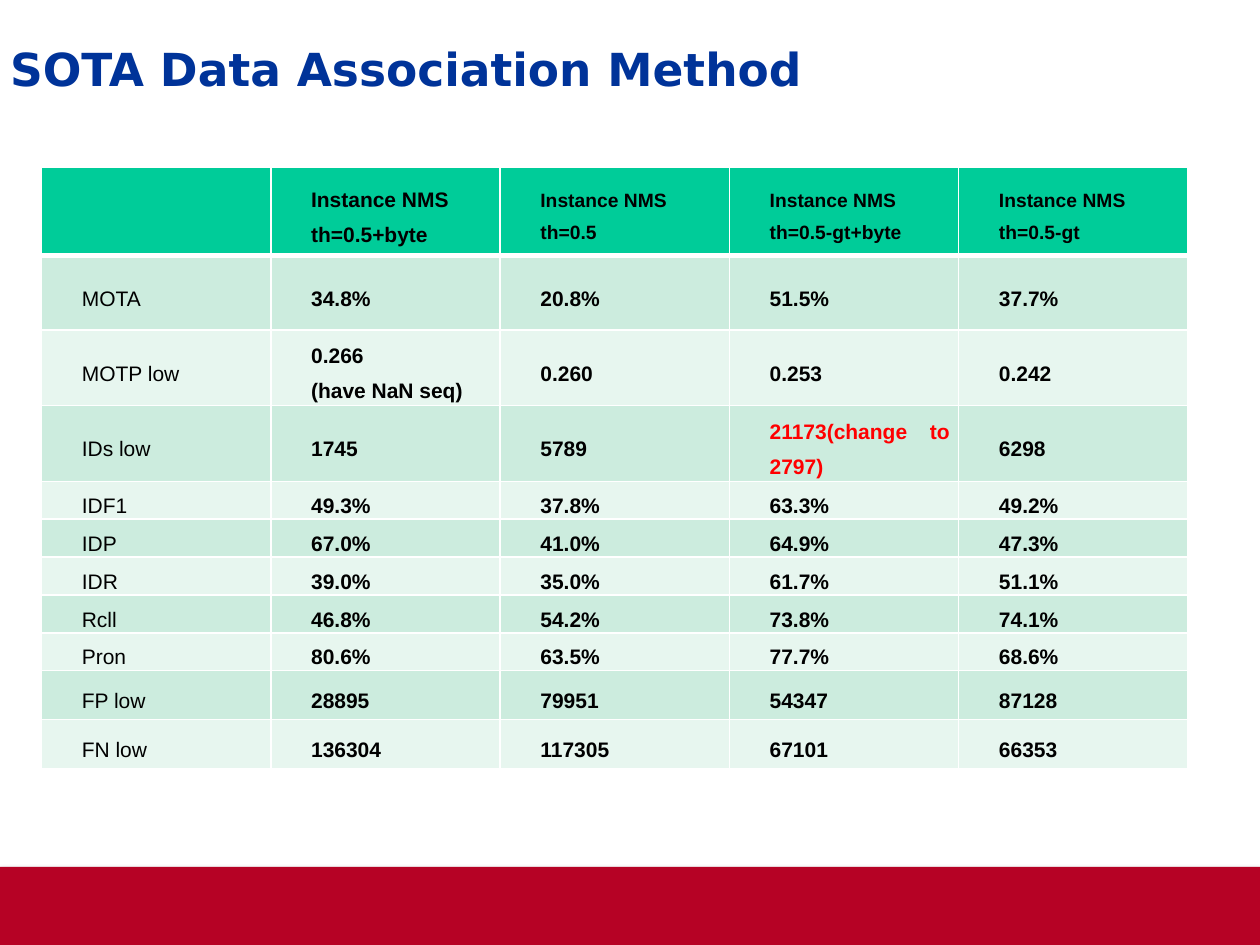
import lxml.etree
import pptx
import pptx.dml.color
import pptx.enum.shapes
import pptx.enum.text
import pptx.oxml.ns
import pptx.util

Inches = pptx.util.Inches
Pt = pptx.util.Pt
RGBColor = pptx.dml.color.RGBColor
PP_ALIGN = pptx.enum.text.PP_ALIGN
MIDDLE = pptx.enum.text.MSO_ANCHOR.MIDDLE
qn = pptx.oxml.ns.qn

WHITE = RGBColor(0xFF, 0xFF, 0xFF)
BLACK = RGBColor(0x00, 0x00, 0x00)
RED = RGBColor(0xFF, 0x00, 0x00)
NAVY = RGBColor(0x00, 0x33, 0x99)
CRIMSON = RGBColor(0xB6, 0x02, 0x25)
GREEN = RGBColor(0x00, 0xCC, 0x99)
MINT = RGBColor(0xCC, 0xEC, 0xDE)
PALE_MINT = RGBColor(0xE7, 0xF6, 0xEF)

METHODS = ["", "Instance NMS th=0.5+byte", "Instance NMS th=0.5",
           "Instance NMS th=0.5-gt+byte", "Instance NMS th=0.5-gt"]
METRICS = [
    ["MOTA", "34.8%", "20.8%", "51.5%", "37.7%"],
    ["MOTP low", "0.266\n(have NaN seq)", "0.260", "0.253", "0.242"],
    ["IDs low", "1745", "5789", "21173(change to 2797)", "6298"],
    ["IDF1", "49.3%", "37.8%", "63.3%", "49.2%"],
    ["IDP", "67.0%", "41.0%", "64.9%", "47.3%"],
    ["IDR", "39.0%", "35.0%", "61.7%", "51.1%"],
    ["Rcll", "46.8%", "54.2%", "73.8%", "74.1%"],
    ["Pron", "80.6%", "63.5%", "77.7%", "68.6%"],
    ["FP low", "28895", "79951", "54347", "87128"],
    ["FN low", "136304", "117305", "67101", "66353"],
]
ROW_HEIGHTS = [0.7, 0.59, 0.48, 0.39] + [0.27] * 5 + [0.39] * 2
COLUMN_WIDTH = 1.82
JUSTIFIED_COLUMNS = (1, 3, 4)
CORRECTED_CELL = (3, 3)


def add_run(paragraph, text, font_name, size, color, bold):
    run = paragraph.add_run()
    run.text = text
    run.font.name = font_name
    run.font.size = Pt(size)
    run.font.color.rgb = color
    run.font.bold = bold


def add_footer_band(slide):
    band = slide.shapes.add_shape(pptx.enum.shapes.MSO_SHAPE.RECTANGLE,
                                  Inches(0), Inches(6.88), Inches(10), Inches(0.62))
    band.shadow.inherit = False
    band.fill.solid()
    band.fill.fore_color.rgb = CRIMSON
    band.line.fill.background()
    effects = band._element.spPr.find(qn("a:effectLst"))
    shadow = lxml.etree.SubElement(effects, qn("a:outerShdw"), blurRad=str(Pt(3.1)),
                                   dist=str(Pt(1.8)), dir="5400000", rotWithShape="0")
    shade = lxml.etree.SubElement(shadow, qn("a:srgbClr"), val=str(BLACK))
    lxml.etree.SubElement(shade, qn("a:alpha"), val="35000")


def add_title(slide):
    title = slide.shapes.add_textbox(Inches(0.08), Inches(0.19), Inches(9.77), Inches(0.79))
    frame = title.text_frame
    frame.word_wrap = True
    frame.vertical_anchor = MIDDLE
    frame.margin_left = frame.margin_top = 0
    frame.margin_right, frame.margin_bottom = Inches(0.1), Inches(0.05)
    heading = frame.paragraphs[0]
    heading.line_spacing = 0.95
    add_run(heading, "SOTA Data Association Method", "DejaVu Sans", 26, NAVY, True)


def set_borders(cell, bottom_width):
    properties = cell._tc.get_or_add_tcPr()
    for side, width in (("L", 1), ("R", 1), ("T", 1), ("B", bottom_width)):
        border = lxml.etree.SubElement(properties, qn("a:ln" + side), w=str(Pt(width)))
        fill = lxml.etree.SubElement(border, qn("a:solidFill"))
        lxml.etree.SubElement(fill, qn("a:srgbClr"), val=str(WHITE))


def row_fill(row):
    if row == 0:
        return GREEN
    return MINT if row % 2 else PALE_MINT


def fill_cell(cell, row, column, text):
    set_borders(cell, 1 if row else 3)
    cell.fill.solid()
    cell.fill.fore_color.rgb = row_fill(row)
    cell.vertical_anchor = MIDDLE
    cell.margin_left = cell.margin_right = Inches(0.07)
    cell.margin_top = cell.margin_bottom = 0
    if not text:
        return
    size = 11 if row == 0 and column > 1 else 12
    color = RED if (row, column) == CORRECTED_CELL else BLACK
    justified = row > 0 and column in JUSTIFIED_COLUMNS
    frame = cell.text_frame
    for index, line in enumerate(text.split("\n")):
        paragraph = frame.add_paragraph() if index else frame.paragraphs[0]
        paragraph.alignment = PP_ALIGN.JUSTIFY if justified else PP_ALIGN.LEFT
        paragraph.line_spacing = 1.5
        indent = paragraph._p.get_or_add_pPr()
        indent.set("marL", str(Inches(0.25)))
        indent.set("indent", "0")
        add_run(paragraph, line, "Arial", size, color, column > 0)


def add_results_table(slide):
    rows = [METHODS] + METRICS
    results = slide.shapes.add_table(len(rows), len(METHODS), Inches(0.33), Inches(1.33),
                                     Inches(COLUMN_WIDTH * len(METHODS)),
                                     Inches(sum(ROW_HEIGHTS))).table
    for column in results.columns:
        column.width = Inches(COLUMN_WIDTH)
    for row, texts in enumerate(rows):
        results.rows[row].height = Inches(ROW_HEIGHTS[row])
        for column, text in enumerate(texts):
            fill_cell(results.cell(row, column), row, column, text)


def main():
    presentation = pptx.Presentation()
    presentation.slide_width = Inches(10)
    presentation.slide_height = Inches(7.5)
    slide = presentation.slides.add_slide(presentation.slide_layouts[6])
    add_footer_band(slide)
    add_title(slide)
    add_results_table(slide)
    presentation.save("out.pptx")


if __name__ == "__main__":
    main()
